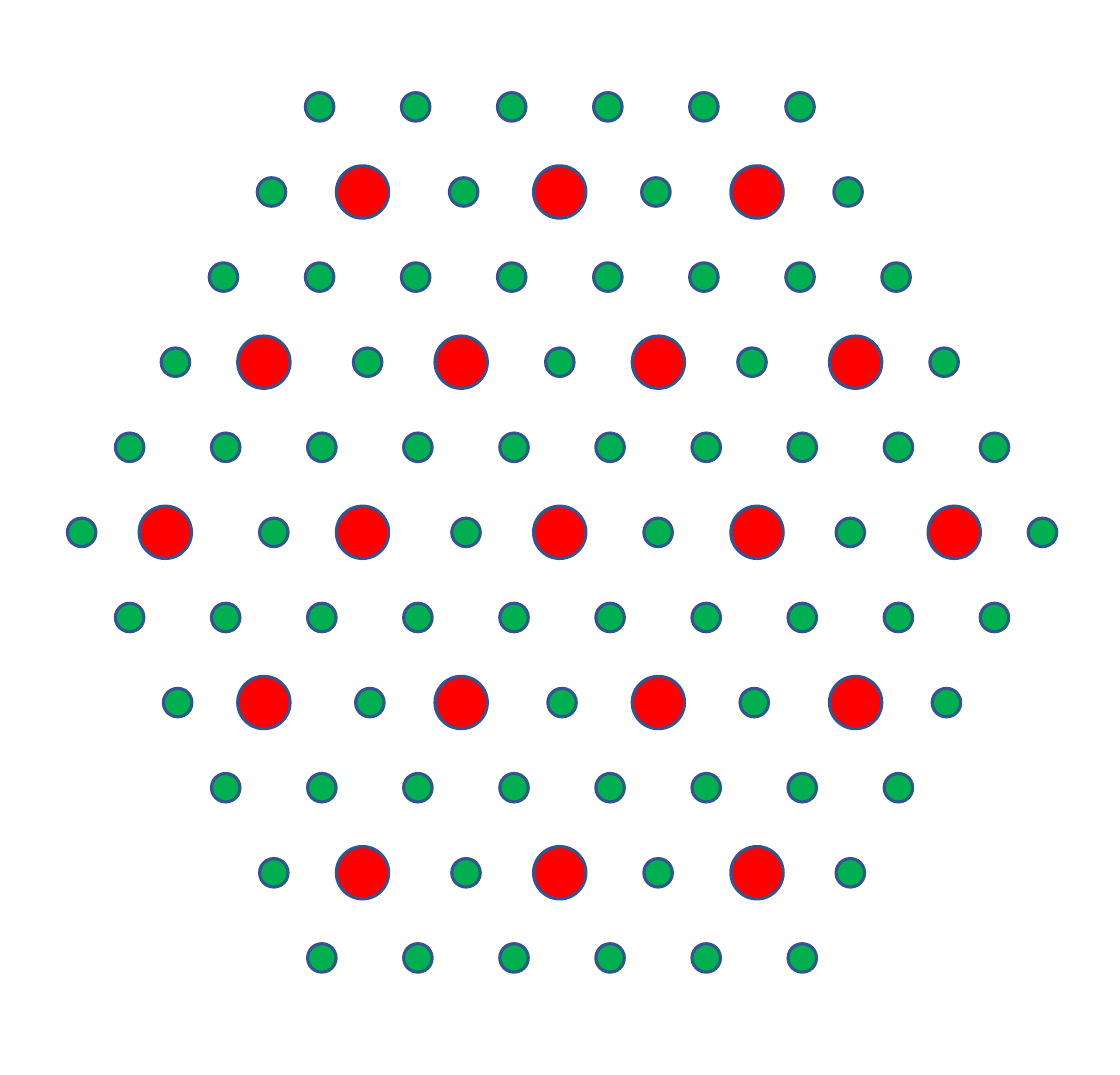
from pptx import Presentation
from pptx.dml.color import RGBColor
from pptx.enum.shapes import MSO_SHAPE
from pptx.util import Inches, Pt

RED = RGBColor(0xFF, 0x00, 0x00)
GREEN = RGBColor(0x00, 0xB0, 0x50)
BLUE = RGBColor(0x32, 0x54, 0x91)

# Slide of 12.5 by 12 cm, in inches
WIDE, HIGH = 12.5 / 2.54, 12 / 2.54

# Dots per row, from top to bottom
SMALL = [6, 4, 8, 5, 10, 6, 10, 5, 8, 4, 6]
LARGE = [0, 3, 0, 4, 0, 5, 0, 4, 0, 3, 0]

# Lattice, in inches
MID_X, MID_Y = 2.46, 2.34
ROW_GAP = 3.74 / 10
SMALL_GAP = 3.8 / 9
LARGE_GAP = 2.6 / 3
SMALL_SIZE, LARGE_SIZE = 1 / 8, 0.23
SHIFT = 0.01  # lower rows of small dots sit slightly right


def add_dot(slide, x, y, size, fill):
    """Draw an outlined circle centred on x, y."""
    dot = slide.shapes.add_shape(
        MSO_SHAPE.OVAL, Inches(x - size / 2), Inches(y - size / 2),
        Inches(size), Inches(size))
    dot.shadow.inherit = False
    dot.fill.solid()
    dot.fill.fore_color.rgb = fill
    dot.line.color.rgb = BLUE
    dot.line.width = Pt(1)


def add_row(slide, count, mid, y, gap, size, fill):
    """Draw evenly spaced dots, centred on mid."""
    for col in range(count):
        x = mid + (col - (count - 1) / 2) * gap
        add_dot(slide, x, y, size, fill)


def main():
    deck = Presentation()
    deck.slide_width, deck.slide_height = Inches(WIDE), Inches(HIGH)
    slide = deck.slides.add_slide(deck.slide_layouts[6])

    # Hexagonal lattice: rows with large dots hold half as many small ones
    for row, (small, large) in enumerate(zip(SMALL, LARGE)):
        y = MID_Y + (row - len(SMALL) // 2) * ROW_GAP
        gap = SMALL_GAP * 2 if large else SMALL_GAP
        mid = MID_X + SHIFT if row > 3 else MID_X
        add_row(slide, large, MID_X, y, LARGE_GAP, LARGE_SIZE, RED)
        add_row(slide, small, mid, y, gap, SMALL_SIZE, GREEN)

    deck.save("out.pptx")


main()
